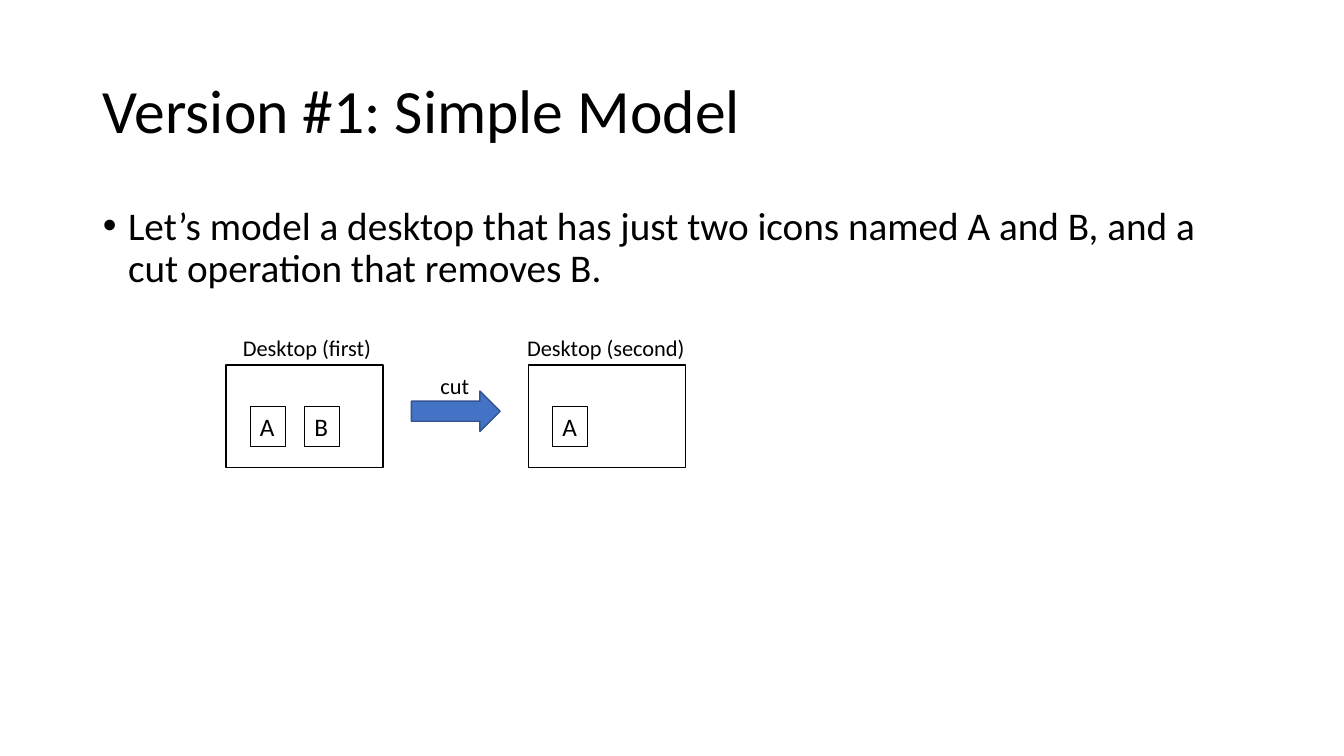
import dataclasses

import lxml.etree
import pptx
import pptx.dml.color
import pptx.enum.shapes
import pptx.enum.text
import pptx.oxml.ns
import pptx.util

SHAPE = pptx.enum.shapes.MSO_SHAPE
ANCHOR = pptx.enum.text.MSO_ANCHOR
FIT = pptx.enum.text.MSO_AUTO_SIZE
LEFT = pptx.enum.text.PP_ALIGN.LEFT


@dataclasses.dataclass(frozen=True)
class Theme:
    """Colours, type sizes and line widths of the slide."""
    font: str = "Calibri"
    ink: str = "000000"
    arrow: str = "4472C4"
    arrow_edge: str = "325491"
    title: int = 44
    body: int = 28
    icon: int = 18
    label: int = 16
    frame_line: float = 1
    icon_line: float = 0.75


THEME = Theme()
CELL = pptx.util.Inches(0.1)


def grid(*cells):
    """Turn columns and rows of the grid into lengths."""
    return [int(CELL * n) for n in cells]


def apply(target, values):
    """Set attributes of an object from a dict."""
    for name, value in values.items():
        setattr(target, name, value)


def rgb(color):
    """Return a colour object for a hex string."""
    return pptx.dml.color.RGBColor.from_string(color)


def write(tf, text, size, **paragraph):
    """Write one left-aligned paragraph into a text frame."""
    p = tf.paragraphs[0]
    apply(p, {"alignment": LEFT, **paragraph})
    r = p.add_run()
    r.text = text
    apply(r.font, {"name": THEME.font, "size": pptx.util.Pt(size)})
    r.font.color.rgb = rgb(THEME.ink)
    return p


def fill_placeholder(sp, box, anchor, text, size, **paragraph):
    """Move a placeholder and write its text."""
    apply(sp, dict(zip(("left", "top", "width", "height"), grid(*box))))
    apply(sp.text_frame, {"word_wrap": True, "auto_size": FIT.NONE,
                          "vertical_anchor": anchor})
    return write(sp.text_frame, text, size, line_spacing=0.9, **paragraph)


def add_bullet(p):
    """Give a paragraph a hanging round bullet."""
    pPr = p._p.get_or_add_pPr()
    indent = pptx.util.Inches(0.25)
    pPr.set("marL", str(indent))
    pPr.set("indent", str(-indent))
    bullet = lxml.etree.SubElement(pPr, pptx.oxml.ns.qn("a:buChar"))
    bullet.set("char", "\u2022")


def add_outline(s, kind, box, color, width, fill=None):
    """Add a preset shape with an outline and an optional fill."""
    sp = s.shapes.add_shape(kind, *grid(*box))
    sp.shadow.inherit = False
    sp.line.color.rgb = rgb(color)
    sp.line.width = pptx.util.Pt(width)
    if fill:
        sp.fill.solid()
        sp.fill.fore_color.rgb = rgb(fill)
    else:
        sp.fill.background()
    return sp


def fit_text(sp, text, size):
    """Write unwrapped text that its shape fits."""
    apply(sp.text_frame, {"word_wrap": False, "auto_size": FIT.SHAPE_TO_FIT_TEXT,
                          "vertical_anchor": ANCHOR.TOP})
    write(sp.text_frame, text, size)


def add_label(s, box, text):
    """Add a small caption."""
    fit_text(s.shapes.add_textbox(*grid(*box)), text, THEME.label)


def add_desktop(s, col, row, icons):
    """Add a desktop frame with a row of named icons."""
    add_outline(s, SHAPE.RECTANGLE, (col, row, 15.6, 10.2),
                THEME.ink, THEME.frame_line)
    for i, name in enumerate(icons):
        box = (col + 2.4 + 5.4 * i, row + 4.1, 3.5, 4)
        sp = add_outline(s, SHAPE.RECTANGLE, box, THEME.ink, THEME.icon_line)
        fit_text(sp, name, THEME.icon)


def main():
    """Build the slide and save it."""
    prs = pptx.Presentation()
    apply(prs, {"slide_width": pptx.util.Inches(13.33),
                "slide_height": pptx.util.Inches(7.5)})
    s = prs.slides.add_slide(prs.slide_layouts[1])
    fill_placeholder(s.shapes.title, (9.2, 4, 115, 14.5), ANCHOR.MIDDLE,
                     "Version #1: Simple Model", THEME.title)
    p = fill_placeholder(
        s.placeholders[1], (9.2, 20, 115, 11.7), ANCHOR.TOP,
        "Let\u2019s model a desktop that has just two icons named A and B, "
        "and a cut operation that removes B.",
        THEME.body, space_before=pptx.util.Pt(10))
    add_bullet(p)
    add_desktop(s, 22.4, 36.2, "AB")
    add_label(s, (23.1, 32.7, 14.9, 3.7), "Desktop (first)")
    add_desktop(s, 52.4, 36.2, "A")
    add_label(s, (51.3, 32.7, 17.9, 3.7), "Desktop (second)")
    add_outline(s, SHAPE.RIGHT_ARROW, (40.8, 38.8, 8.8, 4),
                THEME.arrow_edge, THEME.frame_line, THEME.arrow)
    add_label(s, (42.7, 36.4, 4.9, 3.7), "cut")
    prs.save("out.pptx")


main()
